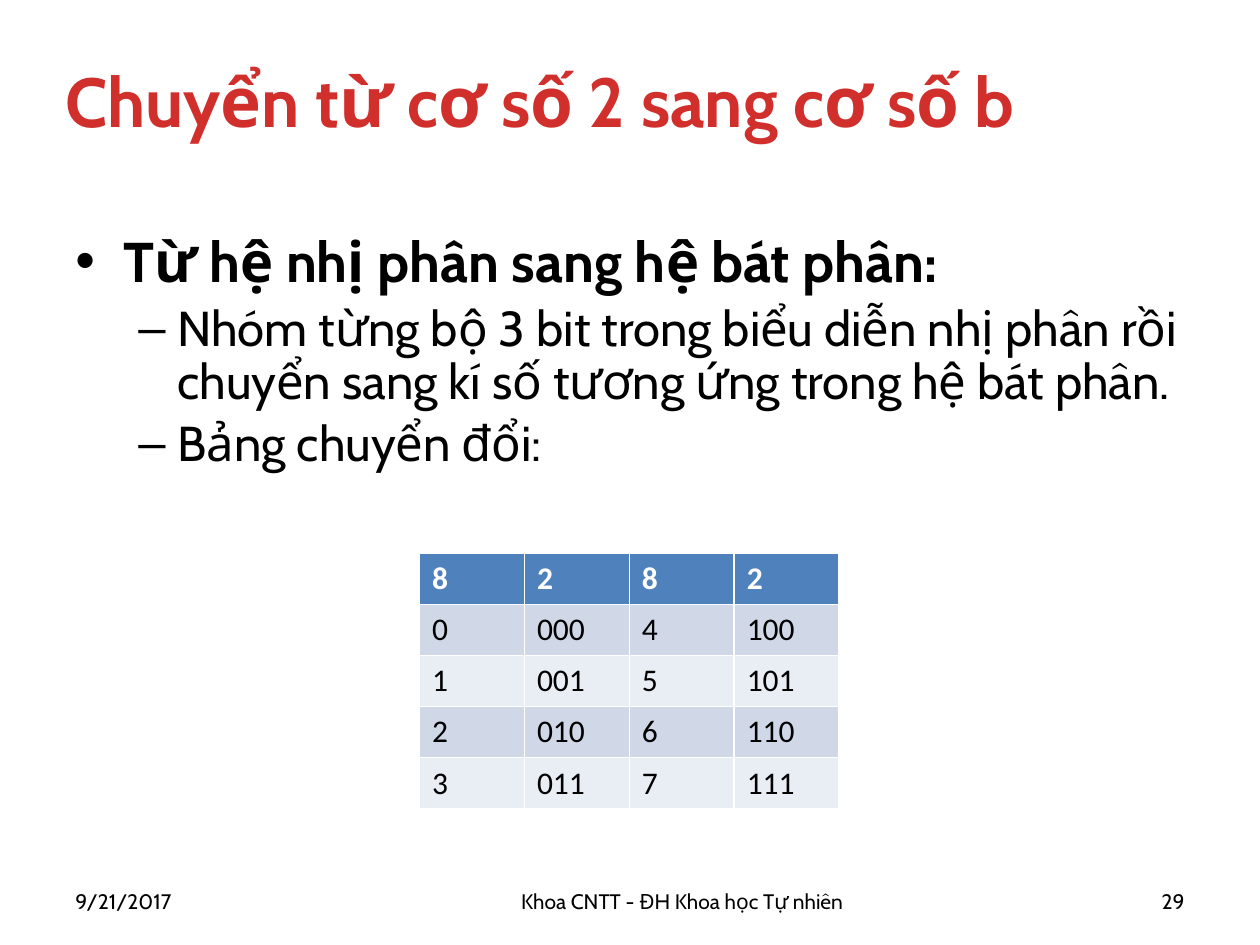
from dataclasses import dataclass

from lxml.etree import SubElement
from pptx import Presentation
from pptx.dml.color import RGBColor
from pptx.enum.text import MSO_ANCHOR, PP_ALIGN
from pptx.oxml.ns import qn
from pptx.slide import Slide
from pptx.text.text import TextFrame, _Paragraph
from pptx.util import Inches, Pt

BLACK = RGBColor(0x00, 0x00, 0x00)
WHITE = RGBColor(0xFF, 0xFF, 0xFF)
RED = RGBColor(0xD0, 0x2F, 0x2C)
BLUE = RGBColor(0x4F, 0x81, 0xBD)
BANDS = (RGBColor(0xE9, 0xED, 0xF4), RGBColor(0xD0, 0xD8, 0xE8))


@dataclass
class Label:
    text: str
    left: float
    top: float
    width: float
    height: float
    size: float = 12
    color: RGBColor = BLACK
    bold: bool = False
    align: PP_ALIGN = PP_ALIGN.LEFT


@dataclass
class Point:
    text: str
    mark: str
    size: float
    left: float
    hang: float
    level: int = 0
    bold: bool = False
    space: float = 1.0


LABELS = (
    Label("Chuyển từ cơ số 2 sang cơ số b", 0.42, 0.17, 9.42, 1.25, 39.6, RED, True),
    Label("9/21/2017", 0.5, 6.95, 1.08, 0.4),
    Label("Khoa CNTT - ĐH Khoa học Tự nhiên", 2.08, 6.95, 6.67, 0.4,
          align=PP_ALIGN.CENTER),
    Label("29", 8.92, 6.95, 0.58, 0.4, align=PP_ALIGN.RIGHT),
)

POINTS = (
    Point("Từ hệ nhị phân sang hệ bát phân:", "•", 32, 0.38, 0.38, bold=True),
    Point("Nhóm từng bộ 3 bit trong biểu diễn nhị phân rồi chuyển sang "
          "kí số tương ứng trong hệ bát phân.", "–", 28, 0.81, 0.31, 1, space=0.9),
    Point("Bảng chuyển đổi:", "–", 28, 0.81, 0.31, 1, space=0.9),
)

HEAD = ("8", "2", "8", "2")
ROWS = [HEAD] + [(str(n), f"{n:03b}", str(n + 4), f"{n + 4:03b}") for n in range(4)]


def style(para: _Paragraph, size: float, color: RGBColor, bold: bool,
          name: str = "Cabin") -> None:
    font = para.font
    font.name = name
    font.size = Pt(size)
    font.bold = bold
    font.color.rgb = color


def add_frame(slide: Slide, left: float, top: float, width: float,
              height: float) -> TextFrame:
    box = slide.shapes.add_textbox(
        Inches(left), Inches(top), Inches(width), Inches(height))
    frame = box.text_frame
    frame.word_wrap = True
    return frame


def add_label(slide: Slide, label: Label) -> None:
    frame = add_frame(slide, label.left, label.top, label.width, label.height)
    frame.vertical_anchor = MSO_ANCHOR.MIDDLE
    para = frame.paragraphs[0]
    para.text = label.text
    para.alignment = label.align
    style(para, label.size, label.color, label.bold)


def add_point(para: _Paragraph, point: Point) -> None:
    para.text = point.text
    para.level = point.level
    para.line_spacing = point.space
    para.space_before = Pt(point.size * 0.2)
    props = para._p.get_or_add_pPr()
    props.set("marL", str(Inches(point.left)))
    props.set("indent", str(-Inches(point.hang)))
    SubElement(props, qn("a:buFont")).set("typeface", "Arial")
    SubElement(props, qn("a:buChar")).set("char", point.mark)
    style(para, point.size, BLACK, point.bold)


def add_points(slide: Slide) -> None:
    frame = add_frame(slide, 0.5, 1.75, 9, 4.95)
    for index, point in enumerate(POINTS):
        para = frame.add_paragraph() if index else frame.paragraphs[0]
        add_point(para, point)


def add_grid(slide: Slide) -> None:
    table = slide.shapes.add_table(
        len(ROWS), len(HEAD),
        Inches(3.33), Inches(4.39), Inches(3.33), Inches(2.03)).table
    for row, texts in enumerate(ROWS):
        for col, text in enumerate(texts):
            cell = table.cell(row, col)
            cell.fill.solid()
            cell.fill.fore_color.rgb = BANDS[row % 2] if row else BLUE
            para = cell.text_frame.paragraphs[0]
            para.text = text
            style(para, 18, BLACK if row else WHITE, row == 0, "Calibri")


def main() -> None:
    deck = Presentation()
    deck.slide_width = Inches(10)
    deck.slide_height = Inches(7.5)
    slide = deck.slides.add_slide(deck.slide_layouts[6])
    add_points(slide)
    add_grid(slide)
    for label in LABELS:
        add_label(slide, label)
    deck.save("out.pptx")


if __name__ == "__main__":
    main()
